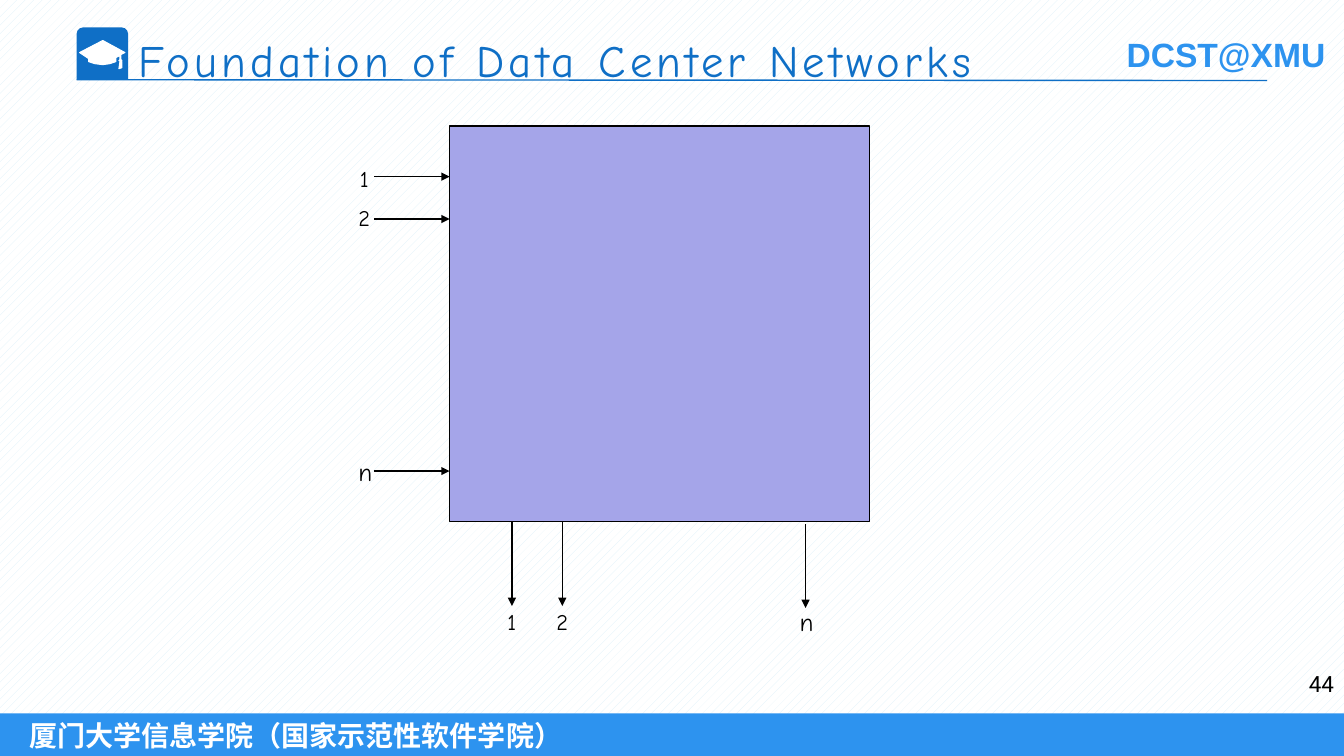
"""Build a slide showing an n by n switch with its inputs and outputs."""
from lxml import etree
from pptx import Presentation
from pptx.dml.color import RGBColor
from pptx.enum.dml import MSO_PATTERN
from pptx.enum.shapes import MSO_CONNECTOR, MSO_SHAPE
from pptx.enum.text import MSO_ANCHOR, PP_ALIGN
from pptx.oxml.ns import qn
from pptx.util import Cm, Pt

RECTANGLE = MSO_SHAPE.RECTANGLE
BADGE = MSO_SHAPE.ROUND_2_SAME_RECTANGLE
STRAIGHT = MSO_CONNECTOR.STRAIGHT
LEFT, CENTER, RIGHT = PP_ALIGN.LEFT, PP_ALIGN.CENTER, PP_ALIGN.RIGHT
TOP, MIDDLE = MSO_ANCHOR.TOP, MSO_ANCHOR.MIDDLE
HATCH = MSO_PATTERN.PERCENT_20

COLORS = {
    "white": "FFFFFF", "hatch": "DBEFF9", "band": "2D93EF",
    "title": "0F6FC6", "switch": "A5A5E9", "black": "000000",
}
WIDTH, HEIGHT = 33.87, 19.05
INPUTS = [("1", 16, 1.27, 0.06), ("2", 16, 2.34, -0.04), ("n", 18, 8.69, 0)]
OUTPUTS = [("1", 16, 1.57, 0.02), ("2", 16, 2.84, 0.02), ("n", 18, 8.97, 0.07)]
CAP = [(44, 32), (44, 27), (48, 25), (26, 13), (3, 25), (12, 31), (12, 34),
       (18, 36.5), (26, 37), (33, 36.5), (39, 34), (39, 30), (43, 28),
       (43, 32), (42, 33), (44, 34), (45, 33)]
TASSEL = [(43, 34), (42, 41), (45, 40), (45, 34)]


def color(name):
    """Return the named colour."""
    return RGBColor.from_string(COLORS[name])


def add_block(page, kind, box, fill, outline=None):
    """Add a filled preset shape in a box given in centimetres."""
    block = page.shapes.add_shape(kind, *map(Cm, box))
    block.shadow.inherit = False
    block.fill.solid()
    block.fill.fore_color.rgb = color(fill)
    if outline:
        block.line.color.rgb = color(outline)
        block.line.width = Pt(1)
    else:
        block.line.fill.background()
    return block


def write(shape, text, size, font, ink, align=LEFT, bold=False, anchor=TOP, wrap=True):
    """Write one formatted line of text into a shape and return its run."""
    frame = shape.text_frame
    frame.text = text
    frame.word_wrap = wrap
    frame.vertical_anchor = anchor
    para = frame.paragraphs[0]
    para.alignment = align
    span = para.runs[0]
    span.font.size = Pt(size)
    span.font.name = font
    span.font.bold = bold
    span.font.color.rgb = color(ink)
    return span


def add_text(page, box, *content, **style):
    """Add a text box and return its run."""
    return write(page.shapes.add_textbox(*map(Cm, box)), *content, **style)


def add_line(page, start, end, ink, arrow=False):
    """Add a straight line, with an arrowhead at its end if asked."""
    line = page.shapes.add_connector(STRAIGHT, *map(Cm, (*start, *end)))
    line.line.color.rgb = color(ink)
    line.line.width = Pt(1)
    properties = line._element.spPr
    if arrow:
        etree.SubElement(line.line._get_or_add_ln(), qn("a:tailEnd"), type="triangle")
    etree.SubElement(properties, qn("a:effectLst"))


def add_port_label(page, x, y, text, size):
    """Centre a port label on a point."""
    width, height = 0.8, size * 0.058
    add_text(page, (x - width / 2, y - height / 2, width, height),
             text, size, "Comic Neue", "black", align=CENTER, anchor=MIDDLE, wrap=False)


def draw_background(page, box):
    """Cover the page with a pale pattern."""
    backdrop = add_block(page, RECTANGLE, box, "white")
    backdrop.fill.patterned()
    backdrop.fill.pattern = HATCH
    backdrop.fill.fore_color.rgb = color("hatch")
    backdrop.fill.back_color.rgb = color("white")


def draw_badge(page, box):
    """Draw the graduation cap on its rounded square."""
    left, top, _, _ = box
    badge = add_block(page, BADGE, box, "title")
    badge.adjustments[0] = 0.13
    badge.adjustments[1] = 0
    builder = page.shapes.build_freeform(*CAP[0], scale=Cm(0.0254))
    builder.add_line_segments(CAP[1:])
    builder.move_to(*TASSEL[0])
    builder.add_line_segments(TASSEL[1:])
    cap = builder.convert_to_shape(Cm(left), Cm(top))
    cap.shadow.inherit = False
    cap.fill.solid()
    cap.fill.fore_color.rgb = color("white")
    cap.line.color.rgb = color("white")
    cap.line.width = Pt(0.75)


def draw_header(page, box):
    """Draw the badge, title, course mark and rule."""
    left, top, width, height = box
    add_text(page, (left + 26.21, top + 0.05, 5.59, 1.27),
             "DCST@XMU", 24, "Arial", "band", bold=True, wrap=False)
    draw_badge(page, (left, top, 1.3, height))
    add_line(page, (left, top + height), (left + width, top + height + 0.02), "title")
    title = add_text(page, (left + 1.32, top, 27.94, 2.54),
                     "Foundation of Data Center Networks", 32, "Comic Neue", "title")
    title.font._element.set("spc", "300")


def draw_footer(page, box):
    """Draw the school band with the page number above it."""
    left, top, width, _ = box
    band = add_block(page, RECTANGLE, box, "band")
    write(band, "厦门大学信息学院（国家示范性软件学院）", 20, "Arial", "white",
          bold=True, anchor=MIDDLE)
    band.text_frame.margin_left = Cm(0.74)
    add_text(page, (left + width - 1.96, top - 1.22, 1.96, 1.27),
             "44", 16, "Roboto", "black", align=RIGHT)


def draw_switch(page, box):
    """Draw the switch with input arrows on the left and outputs below."""
    left, top, _, height = box
    bottom = top + height
    add_block(page, RECTANGLE, box, "switch", "black")
    for text, size, offset, shift in INPUTS:
        y = top + offset
        add_line(page, (left - 1.9, y), (left, y), "black", arrow=True)
        add_port_label(page, left - 2.15, y + shift, text, size)
    for text, size, offset, gap in OUTPUTS:
        x, start = left + offset, bottom + gap
        add_line(page, (x, start), (x, start + 2.11), "black", arrow=True)
        add_port_label(page, x, bottom + 2.52, text, size)


def main():
    """Build and save the deck."""
    deck = Presentation()
    deck.slide_width, deck.slide_height = Cm(WIDTH), Cm(HEIGHT)
    page = deck.slides.add_slide(deck.slide_layouts[6])
    draw_background(page, (0, 0, WIDTH, HEIGHT))
    draw_footer(page, (0, 17.98, WIDTH, 1.12))
    draw_header(page, (1.93, 0.69, 30, 1.32))
    draw_switch(page, (11.33, 3.18, 10.59, 9.96))
    deck.save("out.pptx")


if __name__ == "__main__":
    main()
